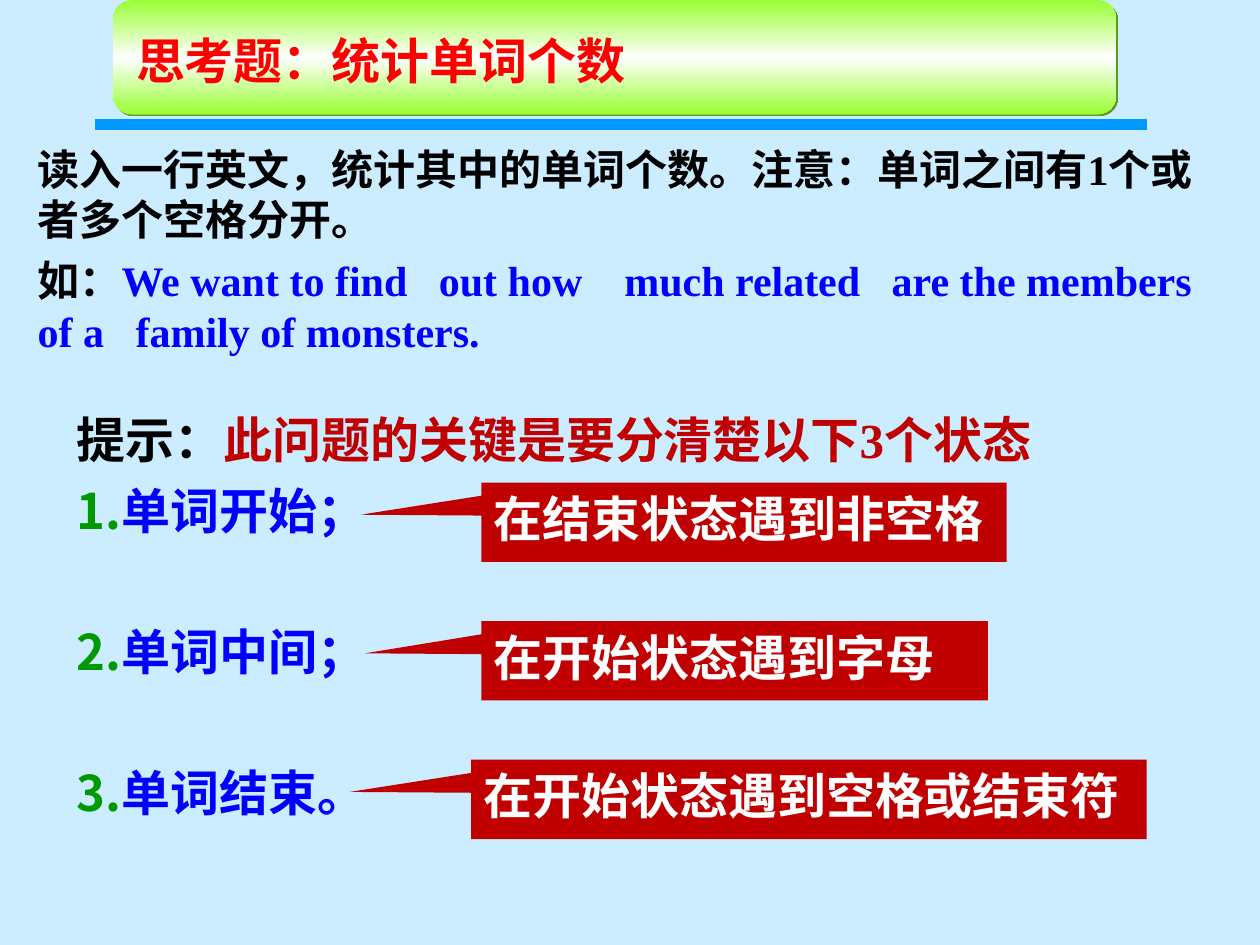
import copy
import pptx
import pptx.util
import pptx.oxml
import pptx.oxml.ns
import pptx.dml.color
import pptx.enum.shapes
import pptx.enum.text

SHAPE = pptx.enum.shapes.MSO_SHAPE
ALIGN = pptx.enum.text.PP_ALIGN
ANCHOR = pptx.enum.text.MSO_ANCHOR
FIT = pptx.enum.text.MSO_AUTO_SIZE
NS = pptx.oxml.ns.nsdecls("a")
FONT = "Times New Roman"
BLACK, BLUE, RED, DARK = "000000", "0000FF", "FF0000", "C00000"
# The slide is a grid of 100 columns by 75 rows
WIDE, HIGH = pptx.util.Inches(10), pptx.util.Inches(7.5)
COL, ROW = WIDE / 100, HIGH / 75


def tint(code):
    return pptx.dml.color.RGBColor.from_string(code)


def place(shape, box):
    x, y, w, h = box
    shape.left, shape.top = round(x * COL), round(y * ROW)
    shape.width, shape.height = round(w * COL), round(h * ROW)


def add(slide, kind, box, fill):
    shape = slide.shapes.add_shape(kind, 0, 0, 0, 0)
    place(shape, box)
    shape.shadow.inherit = False
    shape.line.fill.background()
    if fill:
        shape.fill.solid()
        shape.fill.fore_color.rgb = tint(fill)
    return shape


def add_xml(node, text):
    node.append(pptx.oxml.parse_xml(text))


def write(shape, lines, size, gap):
    """Fill a shape with lines, each a list of (text, colour) runs."""
    frame = shape.text_frame
    frame.word_wrap = True
    frame.auto_size = FIT.NONE
    frame.vertical_anchor = ANCHOR.TOP
    for i, runs in enumerate(lines):
        para = frame.add_paragraph() if i else frame.paragraphs[0]
        para.alignment = ALIGN.LEFT
        para.space_before = pptx.util.Pt(gap)
        para.font.name, para.font.bold = FONT, True
        para.font.size = pptx.util.Pt(size)
        para.font.color.rgb = tint(runs[0][1])
        for text, code in runs:
            run = para.add_run()
            run.text = text
            if len(runs) > 1:
                run.font.color.rgb = tint(code)
    return frame.paragraphs


def banner(slide, box):
    x, y, w, h = box
    # Rule under the panel
    rule = slide.shapes.add_connector(
        pptx.enum.shapes.MSO_CONNECTOR.STRAIGHT,
        round((x - 1.5) * COL), round((y + h + 0.8) * ROW),
        round((x + w + 2.4) * COL), round((y + h + 0.8) * ROW))
    rule.line.color.rgb = tint("0099FF")
    rule.line.width = pptx.util.Pt(6)
    add_xml(rule._element.spPr, f"<a:effectLst {NS}/>")

    # Green panel with a white middle and a hard shadow
    panel = add(slide, SHAPE.ROUNDED_RECTANGLE, box, None)
    panel.fill.gradient()
    panel.fill.gradient_angle = 90
    for stop in panel.fill.gradient_stops:
        stop.color.rgb = tint("99FF33")
    props = panel._element.spPr
    stops = props.find(".//" + pptx.oxml.ns.qn("a:gsLst"))
    stops.insert(1, copy.deepcopy(stops[0]))
    for stop, spot in zip(panel.fill.gradient_stops, (0, 0.5, 1)):
        stop.position = spot
    panel.fill.gradient_stops[1].color.rgb = tint("FFFFFF")
    effect = props.find(pptx.oxml.ns.qn("a:effectLst"))
    add_xml(effect, f'<a:outerShdw {NS} dist="17780" dir="2700000" algn="ctr"'
                    ' rotWithShape="0"><a:srgbClr val="5C991F"/></a:outerShdw>')

    # Title, brought in front of the panel
    title = slide.shapes.title
    place(title, (x + 0.8, y + 1.9, w - 1.8, 5.7))
    write(title, [[("思考题：统计单词个数", RED)]], 28, 0)
    slide.shapes._spTree.append(title._element)


def task(slide, box):
    note = slide.shapes.add_textbox(0, 0, 0, 0)
    place(note, box)
    sample = ("We want to find   out how    much related   are the members"
              "   of a   family of monsters.")
    write(note, [
        [("读入一行英文，统计其中的单词个数。注意：单词之间有1个或者多个空格分开。", BLACK)],
        [("如：", BLACK), (sample, BLUE)]], 24, 6)


def hints(slide, box):
    body = slide.placeholders[1]
    place(body, box)
    states = ("单词开始；", "单词中间；", "单词结束。")
    lead = [("提示：", BLACK), ("此问题的关键是要分清楚以下3个状态", DARK)]
    paras = write(body, [lead] + [[(s, BLUE)] for s in states], 28, 7)
    for i, para in enumerate(paras):
        props = para._element.get_or_add_pPr()
        props.set("marL", "0")
        props.set("indent", "0")
        if i > 1:
            para.space_before = pptx.util.Pt(47)
        # Bullet tags go ahead of the default run properties
        tags = [f"<a:buNone {NS}/>"]
        if i:
            tags = [f'<a:buClr {NS}><a:srgbClr val="009900"/></a:buClr>',
                    f'<a:buAutoNum {NS} type="arabicPeriod"/>']
        last = props.find(pptx.oxml.ns.qn("a:defRPr"))
        for tag in tags:
            last.addprevious(pptx.oxml.parse_xml(tag))


def callout(slide, box, text, tip):
    shape = add(slide, SHAPE.RECTANGULAR_CALLOUT, box, DARK)
    shape.adjustments[0], shape.adjustments[1] = tip, -0.094
    write(shape, [[(text, "FFFFFF")]], 28, 7)


def main():
    deck = pptx.Presentation()
    deck.slide_width, deck.slide_height = WIDE, HIGH
    slide = deck.slides.add_slide(deck.slide_layouts[1])
    slide.background.fill.solid()
    slide.background.fill.fore_color.rgb = tint("CCECFF")

    banner(slide, (9, 0, 79.6, 9.1))
    hints(slide, (5.1, 32, 84.3, 37.8))
    task(slide, (2, 10.9, 96.1, 17.9))
    cues = [("在结束状态遇到非空格", 38.2, 41.7, -0.73),
            ("在开始状态遇到字母", 38.2, 40.2, -0.73),
            ("在开始状态遇到空格或结束符", 37.4, 53.6, -0.68)]
    for i, (text, x, w, tip) in enumerate(cues):
        callout(slide, (x, 38.3 + 11 * i, w, 6.3), text, tip)
    deck.save("out.pptx")


if __name__ == "__main__":
    main()
